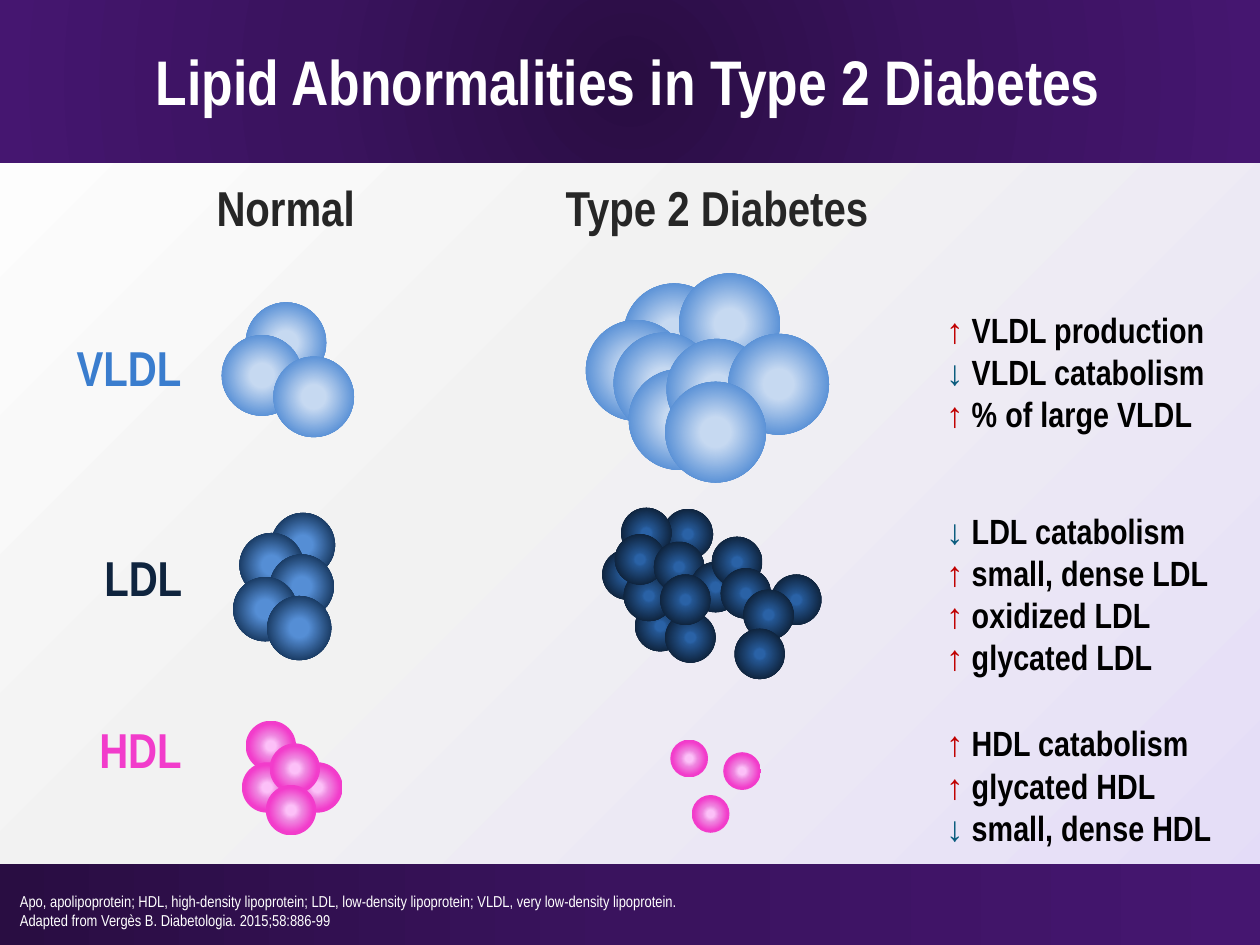
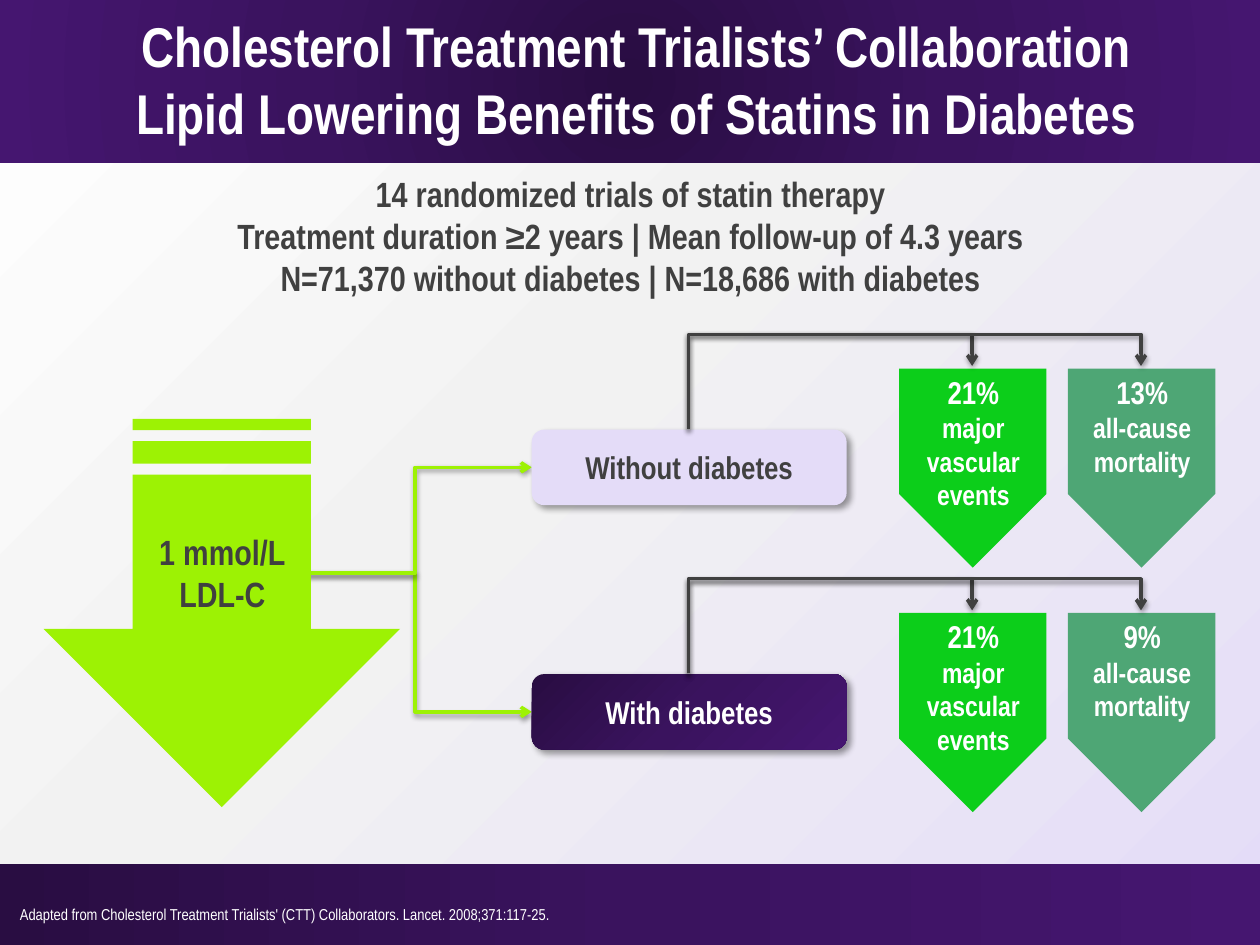
from dataclasses import dataclass

from lxml import etree
from pptx import Presentation
from pptx.dml.color import RGBColor
from pptx.enum.shapes import MSO_CONNECTOR, MSO_SHAPE
from pptx.enum.text import MSO_ANCHOR, MSO_AUTO_SIZE, PP_ALIGN
from pptx.oxml.ns import qn
from pptx.shapes.autoshape import Shape
from pptx.shapes.connector import Connector
from pptx.slide import Slide
from pptx.text.text import TextFrame
from pptx.util import Emu, Pt

# Enum members
RECT, OVAL, ROUND_RECT = MSO_SHAPE.RECTANGLE, MSO_SHAPE.OVAL, MSO_SHAPE.ROUNDED_RECTANGLE
STRIPED_ARROW, HOME_PLATE = MSO_SHAPE.STRIPED_RIGHT_ARROW, MSO_SHAPE.PENTAGON
ELBOW = MSO_CONNECTOR.ELBOW
LEFT, CENTER = PP_ALIGN.LEFT, PP_ALIGN.CENTER
TOP, MIDDLE = MSO_ANCHOR.TOP, MSO_ANCHOR.MIDDLE
GROW, FIXED = MSO_AUTO_SIZE.SHAPE_TO_FIT_TEXT, MSO_AUTO_SIZE.NONE

# Scale: 100 px to the inch
EMU_PER_PX = 9144
FONT = "Arial Narrow"

# Colours
WHITE, BLACK = RGBColor(255, 255, 255), RGBColor(0, 0, 0)
CHARCOAL, GREY = RGBColor(0x26, 0x26, 0x26), RGBColor(0x40, 0x40, 0x40)
MIST, LAVENDER = RGBColor(0xF2, 0xF2, 0xF2), RGBColor(0xE4, 0xDC, 0xF8)
PLUM, PURPLE, VIOLET = RGBColor(0x29, 0x0D, 0x42), RGBColor(0x3A, 0x13, 0x5E), RGBColor(0x45, 0x16, 0x70)
VLDL_BLUE, LDL_NAVY = RGBColor(0x3A, 0x7D, 0xCE), RGBColor(0x0F, 0x24, 0x3E)
PALE_BLUE, MID_BLUE, DEEP_BLUE = RGBColor(0xC6, 0xD9, 0xF1), RGBColor(0x55, 0x8E, 0xD5), RGBColor(0x17, 0x37, 0x5E)
DENSE_CORE, DENSE_MID, DENSE_EDGE = RGBColor(0x2A, 0x62, 0xA6), RGBColor(0x24, 0x55, 0x90), RGBColor(0x0E, 0x22, 0x3A)
PALE_PINK, MID_PINK, HOT_PINK = RGBColor(0xFC, 0xC0, 0xF8), RGBColor(0xEF, 0x85, 0xE0), RGBColor(0xF2, 0x3C, 0xCB)
LIME, GREEN, SEA_GREEN = RGBColor(0x9D, 0xF2, 0x04), RGBColor(0x0C, 0xCE, 0x1A), RGBColor(0x4E, 0xA6, 0x75)
ARROW_COLOURS = {"↑": RGBColor(0xC0, 0, 0), "↓": RGBColor(0x0A, 0x5C, 0x7E)}

# Gradient stops: (percent, colour)
Stops = tuple[tuple[int, RGBColor], ...]
PAGE_STOPS: Stops = ((0, WHITE), (44, MIST), (100, LAVENDER))
BAND_STOPS: Stops = ((0, PLUM), (50, PURPLE), (100, VIOLET))
VLDL_STOPS: Stops = ((0, PALE_BLUE), (21, PALE_BLUE), (75, MID_BLUE))
LDL_STOPS: Stops = ((14, MID_BLUE), (21, MID_BLUE), (75, DEEP_BLUE))
DENSE_LDL_STOPS: Stops = ((14, DENSE_CORE), (21, DENSE_MID), (75, DENSE_EDGE))
HDL_STOPS: Stops = ((14, PALE_PINK), (32, MID_PINK), (63, HOT_PINK))


@dataclass(frozen=True)
class Box:
    left: int
    top: int
    width: int
    height: int

    def emu(self) -> tuple[Emu, Emu, Emu, Emu]:
        return px(self.left), px(self.top), px(self.width), px(self.height)


@dataclass(frozen=True)
class Para:
    text: str
    size: int
    colour: RGBColor
    bold: bool = True
    align: PP_ALIGN = LEFT
    arrow: str = ""


@dataclass(frozen=True)
class Shadow:
    alpha: int
    blur: float
    distance: float
    angle: int


@dataclass(frozen=True)
class Cluster:
    size: int
    stops: Stops
    corners: tuple[tuple[int, int], ...]


@dataclass(frozen=True)
class LipidRow:
    label: Para
    label_box: Box
    changes: tuple[str, ...]
    changes_box: Box
    clusters: tuple[Cluster, Cluster]


@dataclass(frozen=True)
class Outcome:
    percent: str
    event: str
    fill: RGBColor
    text_height: int


@dataclass(frozen=True)
class Arm:
    label: str
    colour: RGBColor
    fill: RGBColor | Stops
    top: int
    outcomes: tuple[Outcome, Outcome]


BOX_SHADOW, LINE_SHADOW = Shadow(40, 4, 3, 45), Shadow(38, 3.1, 1.6, 90)

ROWS = (
    LipidRow(Para("VLDL", 28, VLDL_BLUE), Box(51, 263, 104, 57),
             ("↑ VLDL production", "↓ VLDL catabolism", "↑ % of large VLDL"), Box(741, 240, 227, 111),
             (Cluster(64, VLDL_STOPS, ((195, 240), (176, 266), (217, 283))),
              Cluster(80, VLDL_STOPS, ((495, 225), (539, 217), (465, 254), (487, 264),
                                       (499, 293), (529, 269), (578, 265), (528, 303))))),
    LipidRow(Para("LDL", 28, LDL_NAVY), Box(73, 430, 83, 57),
             ("↓ LDL catabolism", "↑ small, dense LDL", "↑ oxidized LDL", "↑ glycated LDL"),
             Box(741, 399, 229, 145),
             (Cluster(51, LDL_STOPS, ((215, 407), (190, 423), (214, 440), (185, 458), (212, 473))),
              Cluster(40, DENSE_LDL_STOPS, ((526, 404), (504, 477), (478, 436), (495, 453), (528, 486),
                                            (493, 403), (488, 424), (519, 430), (548, 446), (524, 456),
                                            (565, 426), (612, 456), (572, 451), (590, 468), (583, 499))))),
    LipidRow(Para("HDL", 28, HOT_PINK), Box(69, 566, 86, 57),
             ("↑ HDL catabolism", "↑ glycated HDL", "↓ small, dense HDL"), Box(741, 568, 232, 111),
             (Cluster(40, HDL_STOPS, ((195, 572), (192, 605), (232, 605), (214, 590), (211, 623))),
              Cluster(30, HDL_STOPS, ((532, 587), (549, 631), (574, 597))))),
)

VASCULAR = Outcome("21%", "major vascular events", GREEN, 121)
ARMS = (
    Arm("Without diabetes", GREY, LAVENDER, 341,
        (VASCULAR, Outcome("13%", "all-cause mortality", SEA_GREEN, 94))),
    Arm("With diabetes", WHITE, BAND_STOPS, 535,
        (VASCULAR, Outcome("9%", "all-cause mortality", SEA_GREEN, 94))),
)


def px(value: int) -> Emu:
    return Emu(value * EMU_PER_PX)


def set_gradient(element: etree._Element, stops: Stops, angle: int | None = None) -> None:
    """Rewrite the first gradient in element; no angle means radial."""
    gradient = next(element.iter(qn("a:gradFill")))
    for child in list(gradient):
        gradient.remove(child)
    stop_list = etree.SubElement(gradient, qn("a:gsLst"))
    for percent, colour in stops:
        stop = etree.SubElement(stop_list, qn("a:gs"), pos=str(percent * 1000))
        etree.SubElement(stop, qn("a:srgbClr"), val=str(colour))
    if angle is None:
        radial = etree.SubElement(gradient, qn("a:path"), path="circle")
        etree.SubElement(radial, qn("a:fillToRect"), l="50000", t="50000", r="50000", b="50000")
    else:
        etree.SubElement(gradient, qn("a:lin"), ang=str(angle * 60000), scaled="0")


def add_shadow(item: Shape | Connector, shadow: Shadow) -> None:
    properties = item.element.spPr
    effects = properties.find(qn("a:effectLst"))
    if effects is None:
        effects = etree.SubElement(properties, qn("a:effectLst"))
    outer = etree.SubElement(effects, qn("a:outerShdw"), blurRad=str(Pt(shadow.blur)),
                             dist=str(Pt(shadow.distance)), dir=str(shadow.angle * 60000),
                             algn="tl", rotWithShape="0")
    colour = etree.SubElement(outer, qn("a:srgbClr"), val=str(BLACK))
    etree.SubElement(colour, qn("a:alpha"), val=str(shadow.alpha * 1000))


def write_text(frame: TextFrame, paras: tuple[Para, ...], wrap: bool = True,
               anchor: MSO_ANCHOR = TOP, fit: MSO_AUTO_SIZE = GROW) -> None:
    frame.word_wrap, frame.vertical_anchor, frame.auto_size = wrap, anchor, fit
    for number, para in enumerate(paras):
        paragraph = frame.add_paragraph() if number else frame.paragraphs[0]
        properties = paragraph._p.get_or_add_pPr()
        properties.set("marL", "0")
        properties.set("indent", "0")
        etree.SubElement(properties, qn("a:buNone"))
        paragraph.alignment, paragraph.space_before = para.align, Pt(0)
        if para.arrow:
            span = paragraph.add_run()
            span.text = para.arrow
            span.font.color.rgb = ARROW_COLOURS[para.arrow]
            paragraph.add_run().text = para.text
        else:
            paragraph.text = para.text
        font = paragraph.font
        font.name, font.size, font.bold = FONT, Pt(para.size), para.bold
        font.color.rgb = para.colour


def add_text(page: Slide, box: Box, *paras: Para, wrap: bool = True) -> None:
    write_text(page.shapes.add_textbox(*box.emu()).text_frame, paras, wrap)


def fill_placeholder(holder: Shape, box: Box, *paras: Para, wrap: bool = True,
                     fit: MSO_AUTO_SIZE = GROW) -> None:
    holder.left, holder.top, holder.width, holder.height = box.emu()
    write_text(holder.text_frame, paras, wrap, fit=fit)


def add_preset(page: Slide, kind: MSO_SHAPE, box: Box, fill: RGBColor | Stops,
               angle: int | None = None) -> Shape:
    shape = page.shapes.add_shape(kind, *box.emu())
    shape.shadow.inherit = False
    shape.line.fill.background()
    if isinstance(fill, RGBColor):
        shape.fill.solid()
        shape.fill.fore_color.rgb = fill
    else:
        shape.fill.gradient()
        set_gradient(shape.element, fill, angle)
    return shape


def add_elbow(page: Slide, start: tuple[int, int], end: tuple[int, int], colour: RGBColor) -> Connector:
    connector = page.shapes.add_connector(ELBOW, *map(px, start + end))
    connector.line.color.rgb, connector.line.width = colour, Pt(2)
    etree.SubElement(connector.line._get_or_add_ln(), qn("a:tailEnd"), type="arrow")
    add_shadow(connector, LINE_SHADOW)
    return connector


def add_bracket(page: Slide, start: tuple[int, int], end: tuple[int, int]) -> None:
    """Elbow that rises from start, crosses, and drops onto end."""
    span, rise = end[0] - start[0], start[1] - end[1]
    left = (start[0] + end[0] - rise) // 2
    top = (start[1] + end[1] - span) // 2
    connector = add_elbow(page, (left, top), (left + rise, top + span), GREY)
    properties = connector.element.spPr
    frame = properties.find(qn("a:xfrm"))
    for name, value in (("rot", "5400000"), ("flipH", "1"), ("flipV", "1")):
        frame.set(name, value)
    guides = next(properties.iter(qn("a:avLst")))
    etree.SubElement(guides, qn("a:gd"), name="adj1", fmla="val 150300")


def start_page(page: Slide, title: str, title_box: Box, title_size: int,
               notes: tuple[str, ...], notes_box: Box) -> None:
    """Bands at the back, title and source notes."""
    bands = (add_preset(page, RECT, Box(-1, 686, 1002, 64), BAND_STOPS, angle=0),
             add_preset(page, RECT, Box(-1, 0, 1002, 129), BAND_STOPS))
    for position, band in enumerate(bands, start=2):
        page.shapes.element.insert(position, band.element)
    fill_placeholder(page.shapes.title, title_box,
                     Para(title, title_size, WHITE, align=CENTER), fit=FIXED)
    add_text(page, notes_box, *(Para(note, 9, WHITE, bold=False) for note in notes))


def build_lipid_page(page: Slide) -> None:
    start_page(page, "Lipid Abnormalities in Type 2 Diabetes", Box(6, 29, 985, 71), 36,
               ("Apo, apolipoprotein; HDL, high-density lipoprotein; LDL, low-density lipoprotein; "
                "VLDL, very low-density lipoprotein.",
                "Adapted from Vergès B. Diabetologia. 2015;58:886-99"), Box(6, 703, 675, 40))
    # Column headings
    add_text(page, Box(162, 136, 131, 57), Para("Normal", 28, CHARCOAL), wrap=False)
    add_text(page, Box(439, 136, 265, 57), Para("Type 2 Diabetes", 28, CHARCOAL), wrap=False)
    # One row per lipoprotein
    _, *bodies = page.placeholders
    for row, body in zip(ROWS, bodies):
        add_text(page, row.label_box, row.label, wrap=False)
        fill_placeholder(body, row.changes_box,
                         *(Para(change[1:], 20, BLACK, arrow=change[0]) for change in row.changes),
                         wrap=False)
        for cluster in row.clusters:
            for left, top in cluster.corners:
                add_preset(page, OVAL, Box(left, top, cluster.size, cluster.size), cluster.stops)
    for spare in bodies[len(ROWS):]:
        spare.element.getparent().remove(spare.element)


def build_statin_page(page: Slide) -> None:
    start_page(page, "Cholesterol Treatment Trialists’ Collaboration\n"
               "Lipid Lowering Benefits of Statins in Diabetes", Box(13, 4, 985, 118), 32,
               ("Adapted from Cholesterol Treatment Trialists' (CTT) Collaborators. "
                "Lancet. 2008;371:117-25.",), Box(6, 713, 675, 25))
    trial_facts = ("14 randomized trials of statin therapy",
                   "Treatment duration ≥2 years | Mean follow-up of 4.3 years",
                   "N=71,370 without diabetes | N=18,686 with diabetes")
    fill_placeholder(page.placeholders[1], Box(173, 132, 655, 111),
                     *(Para(fact, 20, GREY, align=CENTER) for fact in trial_facts), wrap=False)
    # LDL-C reduction leading to both arms
    for arm in reversed(ARMS):
        add_elbow(page, (237, 455), (422, arm.top + 30), LIME)
    add_preset(page, STRIPED_ARROW, Box(22, 345, 308, 283), LIME).rotation = 90
    add_text(page, Box(116, 416, 121, 77),
             *(Para(line, 20, GREY, align=CENTER) for line in ("1 mmol/L", "LDL-C")), wrap=False)
    # Arms with their outcomes
    for arm in ARMS:
        arm_box = add_preset(page, ROUND_RECT, Box(422, arm.top, 250, 60), arm.fill, angle=45)
        add_shadow(arm_box, BOX_SHADOW)
        write_text(arm_box.text_frame, (Para(arm.label, 18, arm.colour, align=CENTER),),
                   anchor=MIDDLE, fit=FIXED)
        for number, outcome in enumerate(arm.outcomes):
            middle, plate_top = 772 + 134 * number, arm.top - 50
            add_preset(page, HOME_PLATE, Box(middle - 79, arm.top - 28, 158, 117),
                       outcome.fill).rotation = 90
            add_text(page, Box(middle - 62, plate_top, 125, outcome.text_height),
                     Para(outcome.percent, 18, WHITE, align=CENTER),
                     Para(outcome.event, 16, WHITE, align=CENTER))
            add_bracket(page, (547, arm.top), (middle, plate_top))


def main() -> None:
    deck = Presentation()
    deck.slide_width, deck.slide_height = px(1000), px(750)
    master = deck.slide_master
    master.background.fill.gradient()
    set_gradient(master.element, PAGE_STOPS, angle=45)
    build_lipid_page(deck.slides.add_slide(deck.slide_layouts.get_by_name("Comparison")))
    build_statin_page(deck.slides.add_slide(deck.slide_layouts.get_by_name("Title and Content")))
    deck.save("out.pptx")


if __name__ == "__main__":
    main()
